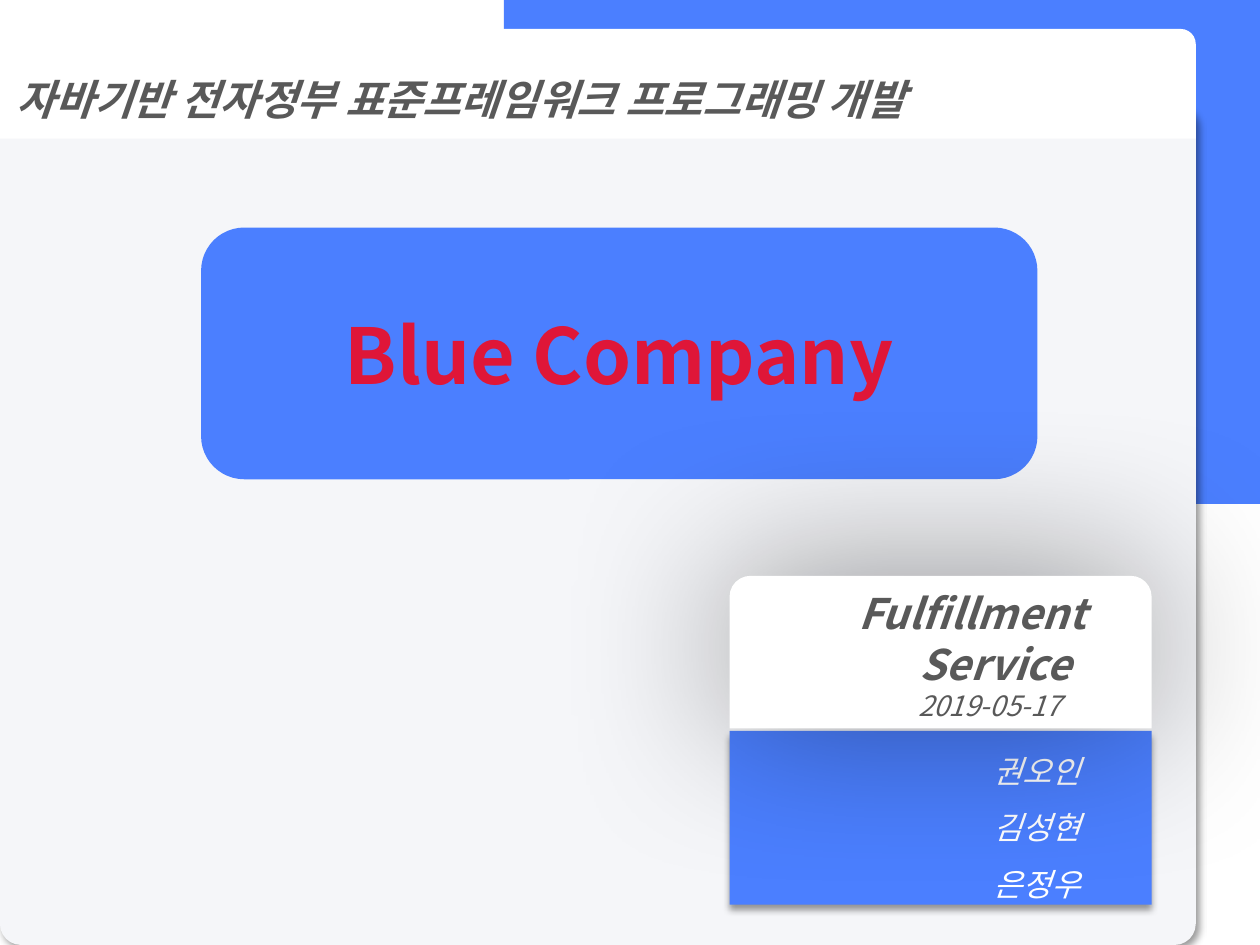
from lxml import etree
from pptx import Presentation
from pptx.dml.color import RGBColor
from pptx.enum.shapes import MSO_SHAPE
from pptx.enum.text import MSO_ANCHOR, PP_ALIGN
from pptx.oxml.ns import qn
from pptx.util import Inches, Pt

ROUNDED = MSO_SHAPE.ROUNDED_RECTANGLE
TOP_ROUNDED = MSO_SHAPE.ROUND_2_SAME_RECTANGLE
RECTANGLE = MSO_SHAPE.RECTANGLE
MIDDLE = MSO_ANCHOR.MIDDLE
CENTER = PP_ALIGN.CENTER
LEFT = PP_ALIGN.LEFT

BLUE = RGBColor(0x4B, 0x7F, 0xFF)
PALE = RGBColor(0xF5, 0xF6, 0xF9)
WHITE = RGBColor(0xFF, 0xFF, 0xFF)
RED = RGBColor(0xDF, 0x16, 0x38)
GRAY = RGBColor(0x59, 0x59, 0x59)
FONT = "Noto Sans CJK KR"

presentation = Presentation()
presentation.slide_width = Inches(10)
presentation.slide_height = Inches(7.5)
slide = presentation.slides.add_slide(presentation.slide_layouts[5])


def add_panel(kind, box, color, adjustments=(), shadow=None):
    shape = slide.shapes.add_shape(kind, *[Inches(value) for value in box])
    for index, value in enumerate(adjustments):
        shape.adjustments[index] = value
    shape.shadow.inherit = False
    shape.fill.solid()
    shape.fill.fore_color.rgb = color
    shape.line.fill.background()
    if shadow:
        blur, distance, angle = shadow
        effects = shape._element.spPr.find(qn("a:effectLst"))
        outer = etree.SubElement(
            effects, qn("a:outerShdw"), blurRad=str(Pt(blur)), dist=str(Pt(distance)),
            dir=str(angle * 60000), algn="ctr", rotWithShape="0")
        tint = etree.SubElement(outer, qn("a:srgbClr"), val="000000")
        etree.SubElement(tint, qn("a:alpha"), val="40000")
    return shape


def write_lines(shape, lines, color, spacing=1.0, alignment=CENTER):
    frame = shape.text_frame
    frame.word_wrap = True
    frame.vertical_anchor = MIDDLE
    frame.text = "\n".join(line[0] for line in lines)
    for paragraph, (text, size, bold, italic, indent) in zip(frame.paragraphs, lines):
        paragraph.alignment = alignment
        paragraph.line_spacing = spacing
        properties = paragraph._p.get_or_add_pPr()
        properties.set("marL", str(Inches(indent)))
        properties.set("indent", "0")
        font = paragraph.runs[0].font
        font.name = FONT
        font.size = Pt(size)
        font.bold = bold
        font.italic = italic
        font.color.rgb = color
        latin = font._element.find(qn("a:latin"))
        latin.addnext(etree.Element(qn("a:ea"), typeface=FONT))


ribbon_segments = [
    [(10, 0.01)], [(10, 3.34)], [(9.72, 3.62)], [(9.53, 3.78)], [(9.49, 3.84)],
    [(9.44, 3.9), (9.39, 3.95), (9.34, 4.01)],
    [(6.43, 6.92)],
    [(5.63, 7.71), (4.38, 7.76), (3.53, 7.07)],
    [(3.37, 6.92)], [(3.22, 6.76)],
    [(2.53, 5.91), (2.58, 4.66), (3.37, 3.87)],
    [(4.88, 2.36)], [(4.54, 2.02)],
    [(4.04, 1.52), (3.8, 0.88), (3.8, 0.23)],
    [(3.81, 0.01)],
]
STEPS = 16
ribbon_points = []
for segment in ribbon_segments:
    if len(segment) == 1:
        ribbon_points += segment
        continue
    corners = [ribbon_points[-1]] + segment
    for step in range(1, STEPS + 1):
        t = step / STEPS
        weights = ((1 - t) ** 3, 3 * t * (1 - t) ** 2, 3 * t ** 2 * (1 - t), t ** 3)
        ribbon_points.append(tuple(
            sum(weight * corner[axis] for weight, corner in zip(weights, corners))
            for axis in (0, 1)))

builder = slide.shapes.build_freeform(*ribbon_points[0], scale=Inches(1))
builder.add_line_segments(ribbon_points[1:], close=True)
ribbon = builder.convert_to_shape()
ribbon.shadow.inherit = False
ribbon.fill.solid()
ribbon.fill.fore_color.rgb = BLUE
ribbon.line.fill.background()

add_panel(ROUNDED, (0, 0.83, 9.49, 6.67), PALE, (0.025,), (4, 3, 45))

title_panel = add_panel(ROUNDED, (1.61, 1.82, 6.61, 1.97), BLUE)
title_panel.line.color.rgb = BLUE
title_panel.line.width = Pt(2)
title = slide.shapes.title
title.left, title.top = title_panel.left, title_panel.top
title.width, title.height = title_panel.width, title_panel.height
write_lines(title, [("Blue Company", 44, True, False, 0)], RED)
title_panel._element.addnext(title._element)

header = add_panel(TOP_ROUNDED, (0, 0.23, 9.49, 0.87), WHITE, (0.137, 0))
write_lines(header, [("자바기반 전자정부 표준프레임워크 프로그래밍 개발", 24, True, True, 0)],
            GRAY, 1.5, LEFT)

members = add_panel(RECTANGLE, (5.79, 5.8, 3.35, 1.38), BLUE, shadow=(4, 3, 90))
write_lines(members, [(name, 18, False, True, 1.53) for name in ("권오인", "김성현", "은정우")],
            WHITE, 1.5)

service = add_panel(TOP_ROUNDED, (5.79, 4.57, 3.35, 1.21), WHITE, (0.137, 0), (99, 3, 270))
write_lines(service, [
    ("Fulfillment", 24, True, True, 0.5),
    ("Service", 24, True, True, 0.87),
    ("2019-05-17", 16, False, True, 0.78),
], GRAY)

presentation.save("out.pptx")
